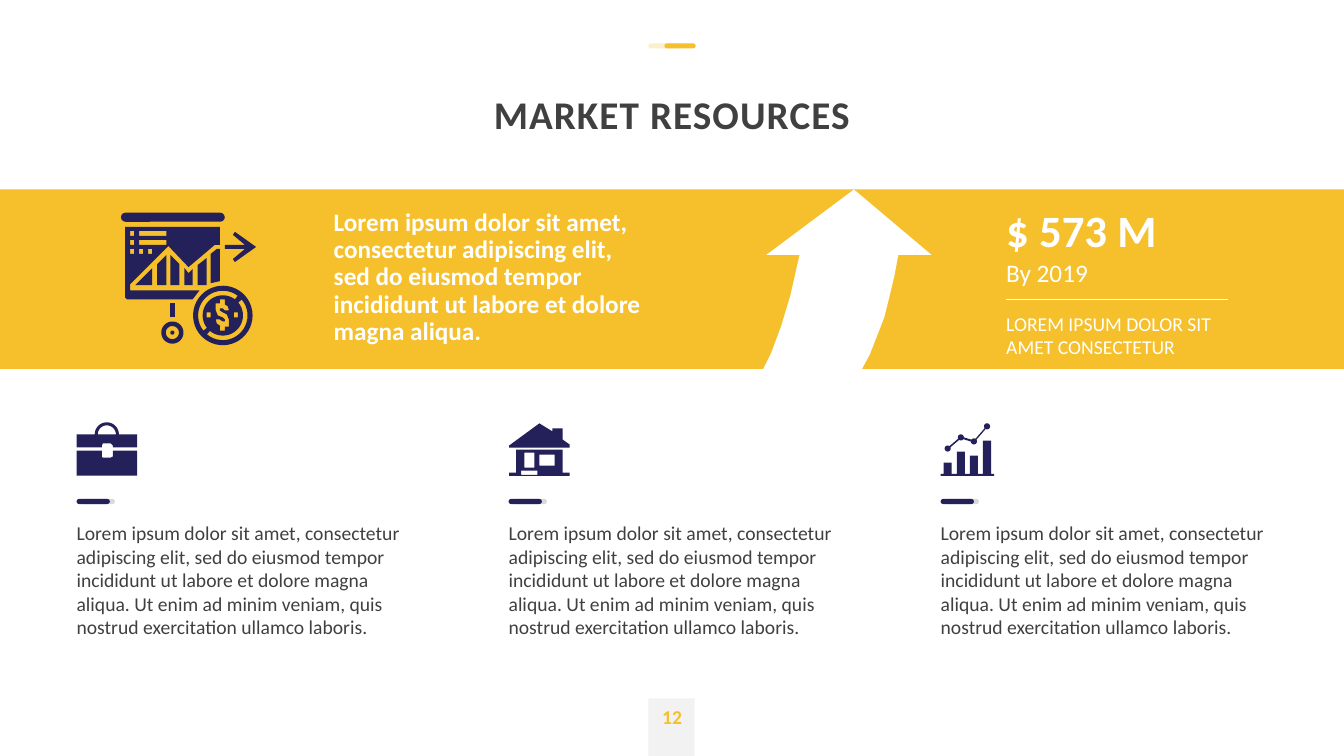
from math import cos, sin, radians
from lxml.etree import SubElement
from pptx import Presentation
from pptx.dml.color import RGBColor
from pptx.enum.shapes import MSO_SHAPE, MSO_CONNECTOR
from pptx.enum.text import PP_ALIGN, MSO_ANCHOR
from pptx.oxml.ns import qn
from pptx.util import Inches, Pt

GOLD, NAVY, WHITE, DARK = "F5C02B", "23205A", "FFFFFF", "404040"
TITLE = "MARKET RESOURCES"
LOREM = ("Lorem ipsum dolor sit amet, consectetur adipiscing elit, sed do "
         "eiusmod tempor incididunt ut labore et dolore magna aliqua.")
BODY = LOREM + " Ut enim ad minim veniam, quis nostrud exercitation ullamco laboris."
TEXTS = [
    (LOREM, 3.31, 2.08, 3.12, 1.36, 18, True, True),
    ("$ 573 M", 9.98, 2.01, 1.51, 0.54, 32, True, False),
    ("By 2019", 9.98, 2.55, 0.83, 0.3, 18, False, False),
    ("LOREM IPSUM DOLOR SIT AMET CONSECTETUR", 9.98, 3.09, 2.2, 0.47, 14, False, True),
]
LEFT, STEP = 0.76, 4.285


def rect(x, y, w, h):
    return [(x, y), (x + w, y), (x + w, y + h), (x, y + h)]


def arc(x, y, r, start=0, end=360):
    count = max(8, int(abs(end - start) / 8))
    turns = [radians(start + (end - start) * i / count) for i in range(count + 1)]
    return [(x + r * cos(a), y + r * sin(a)) for a in turns]


def band(x, y, outer, inner, start, end):
    return arc(x, y, outer, start, end) + arc(x, y, inner, end, start)


ARROW = [[(8.47, 1.88), (9.24, 2.53), (8.91, 2.53), (8.87, 2.74), (8.82, 2.95),
          (8.77, 3.15), (8.7, 3.33), (8.63, 3.51), (8.55, 3.66), (7.57, 3.66),
          (7.65, 3.5), (7.75, 3.23), (7.84, 2.93), (7.93, 2.53), (7.6, 2.53)]]

BOARD = [[(1.29, 2.88), (1.29, 2.82), (1.67, 2.44), (1.87, 2.65), (2.13, 2.43),
          (2.18, 2.43), (2.18, 2.25), (1.24, 2.25), (1.24, 2.95), (1.26, 2.97),
          (1.91, 2.97), (1.98, 2.88)]]
BOARD += [rect(1.29, 2.29 + 0.09 * i, 0.04, 0.05) for i in range(3)]
BOARD += [rect(1.38, 2.29 + 0.09 * i, 0.27, 0.05) for i in range(2)]
BOARD += [rect(1.38 + 0.09 * i, 2.47, 0.04, 0.05) for i in range(2)]

BARS = [
    [(1.34, 2.83), (1.51, 2.66), (1.51, 2.83)],
    [(1.56, 2.83), (1.56, 2.62), (1.65, 2.53), (1.65, 2.83)],
    [(1.69, 2.83), (1.69, 2.53), (1.78, 2.62), (1.78, 2.83)],
    [(1.83, 2.83), (1.83, 2.66), (1.87, 2.71), (1.91, 2.67), (1.91, 2.83)],
    [(1.96, 2.83), (1.96, 2.63), (2.05, 2.56), (2.05, 2.83)],
    [(2.09, 2.81), (2.09, 2.52), (2.15, 2.47), (2.18, 2.47), (2.18, 2.79)],
]
POINTER = [[(2.23, 2.43), (2.23, 2.47), (2.43, 2.47), (2.31, 2.57), (2.33, 2.6),
            (2.54, 2.45), (2.33, 2.3), (2.31, 2.33), (2.43, 2.43)]]
DOLLAR = [(2.21, 3.1), (2.25, 3.12), (2.27, 3.17), (2.27, 3.24), (2.23, 3.24),
          (2.23, 3.28), (2.18, 3.28), (2.18, 3.23), (2.15, 3.21), (2.14, 3.17),
          (2.18, 3.17), (2.21, 3.19), (2.23, 3.19), (2.23, 3.17), (2.21, 3.15),
          (2.16, 3.13), (2.14, 3.08), (2.14, 3.01), (2.18, 3.01), (2.18, 2.97),
          (2.23, 2.97), (2.23, 3.02), (2.26, 3.04), (2.27, 3.08), (2.23, 3.08),
          (2.21, 3.06), (2.18, 3.06), (2.18, 3.08)]
COIN = [arc(2.21, 3.13, 0.295), band(2.21, 3.13, 0.245, 0.2, -53, -218),
        band(2.21, 3.13, 0.245, 0.2, -40, 130), DOLLAR,
        rect(2.05, 3.1, 0.04, 0.05), rect(2.32, 3.1, 0.04, 0.05)]
WHEEL = [arc(1.71, 3.3, r) for r in (0.11, 0.065, 0.02)]
ROD = [rect(1.69, 3.01, 0.05, 0.14)]

CASE = [
    [(0.76, 4.31), (1.36, 4.31), (1.36, 4.44), (1.12, 4.44), (1.12, 4.42),
     (1.1, 4.4), (1.02, 4.4), (1.01, 4.42), (1.01, 4.44), (0.76, 4.44)],
    [(0.76, 4.47), (1.01, 4.47), (1.01, 4.53), (1.02, 4.54), (1.1, 4.54),
     (1.12, 4.53), (1.12, 4.47), (1.36, 4.47), (1.36, 4.72), (0.76, 4.72)],
    band(1.06, 4.31, 0.12, 0.09, 180, 360),
]
HOUSE = [
    [(5.05, 4.42), (5.35, 4.2), (5.48, 4.28), (5.48, 4.25), (5.58, 4.25),
     (5.58, 4.36), (5.65, 4.41), (5.65, 4.44), (5.05, 4.44)],
    [(5.12, 4.46), (5.58, 4.46), (5.58, 4.69), (5.65, 4.69), (5.65, 4.72),
     (5.05, 4.72), (5.05, 4.69), (5.12, 4.69)],
    rect(5.2, 4.49, 0.1, 0.15), rect(5.17, 4.67, 0.16, 0.04),
    rect(5.35, 4.51, 0.15, 0.11),
]
DOTS = [(9.4, 4.45), (9.53, 4.34), (9.66, 4.38), (9.79, 4.23)]
GROWTH = [rect(9.36 + 0.13 * i, top, 0.08, 4.7 - top)
          for i, top in enumerate((4.59, 4.48, 4.52, 4.37))]
GROWTH += [rect(9.33, 4.7, 0.53, 0.02)]
TREND = [[(x, y - 0.01) for x, y in DOTS] + [(x, y + 0.01) for x, y in DOTS[::-1]]]

deck = Presentation()
deck.slide_width, deck.slide_height = Inches(13.33), Inches(7.5)
slide = deck.slides.add_slide(deck.slide_layouts[5])
shapes = slide.shapes


def tint(color, value):
    color.rgb = RGBColor.from_string(value)


def paint(shape, fill):
    shape.shadow.inherit = False
    shape.fill.solid()
    tint(shape.fill.fore_color, fill)
    shape.line.fill.background()
    return shape


def place(kind, x, y, w, h, fill):
    return paint(shapes.add_shape(kind, *map(Inches, (x, y, w, h))), fill)


def pill(x, y, w, fill):
    shape = place(MSO_SHAPE.ROUNDED_RECTANGLE, x, y, w, 0.05, fill)
    shape.adjustments[0] = 0.5
    return shape


def draw(loops, fill=NAVY):
    loops = [[(Inches(x), Inches(y)) for x, y in loop] for loop in loops]
    pen = shapes.build_freeform(*loops[0][0], scale=1.0)
    for loop in loops:
        if loop is not loops[0]:
            pen.move_to(*loop[0])
        pen.add_line_segments(loop[1:], close=True)
    return paint(pen.convert_to_shape(), fill)


def style(shape, text, size, color, bold=False, wrap=True, pad=0):
    frame = shape.text_frame
    frame.text = text
    frame.word_wrap = wrap
    frame.margin_left = frame.margin_right = Inches(pad)
    frame.margin_top = frame.margin_bottom = Inches(pad / 2)
    line = frame.paragraphs[0]
    font = line.runs[0].font
    font.name, font.size, font.bold = "Calibri", Pt(size), bold
    tint(font.color, color)
    return line


def label(text, x, y, w, h, *look, **more):
    box = shapes.add_textbox(*map(Inches, (x, y, w, h)))
    return box, style(box, text, *look, **more)


place(MSO_SHAPE.RECTANGLE, 6.43, 6.93, 0.46, 0.57, "F2F2F2")
pale = pill(6.43, 0.43, 0.31, "FAE098")
shade = pale.fill._xPr.find(".//" + qn("a:srgbClr"))
SubElement(shade, qn("a:alpha"), val="50000")
pill(6.59, 0.43, 0.31, GOLD)
place(MSO_SHAPE.RECTANGLE, 0, 1.88, 13.33, 1.78, GOLD)

head = shapes.title
head.left, head.top, head.width, head.height = map(Inches, (0.76, 0.48, 11.81, 0.89))
line = style(head, TITLE, 28, DARK, True)
head.text_frame.vertical_anchor = MSO_ANCHOR.BOTTOM
line.alignment, line.line_spacing = PP_ALIGN.CENTER, 0.9
line.runs[0].font._element.set("spc", "80")

box, line = label("12", 6.44, 6.93, 0.45, 0.35, 14, GOLD, True, pad=0.1)
box.text_frame.vertical_anchor = MSO_ANCHOR.MIDDLE
line.alignment = PP_ALIGN.CENTER

draw(ARROW, WHITE)
for text, x, y, w, h, size, bold, wrap in TEXTS:
    box, line = label(text, x, y, w, h, size, WHITE, bold, wrap)
    if text == LOREM:
        line.line_spacing = 0.9

rule = shapes.add_connector(MSO_CONNECTOR.STRAIGHT, *map(Inches, (9.98, 2.97, 12.18, 2.97)))
rule.line.width = Pt(0.5)
tint(rule.line.color, WHITE)
SubElement(rule._element.spPr, qn("a:effectLst"))

pill(1.2, 2.11, 1.03, NAVY).height = Inches(0.09)
for loops in (BOARD, BARS, POINTER, COIN, WHEEL, ROD, CASE, HOUSE, GROWTH, TREND):
    draw(loops)
for x, y in DOTS:
    draw([arc(x, y, 0.03)])

for i in range(3):
    x = LEFT + STEP * i
    pill(x + 0.05, 4.95, 0.33, "D9D9D9")
    pill(x, 4.95, 0.33, NAVY)
    label(BODY, x, 5.17, 3.24, 1.18, 14, DARK)

deck.save("out.pptx")
